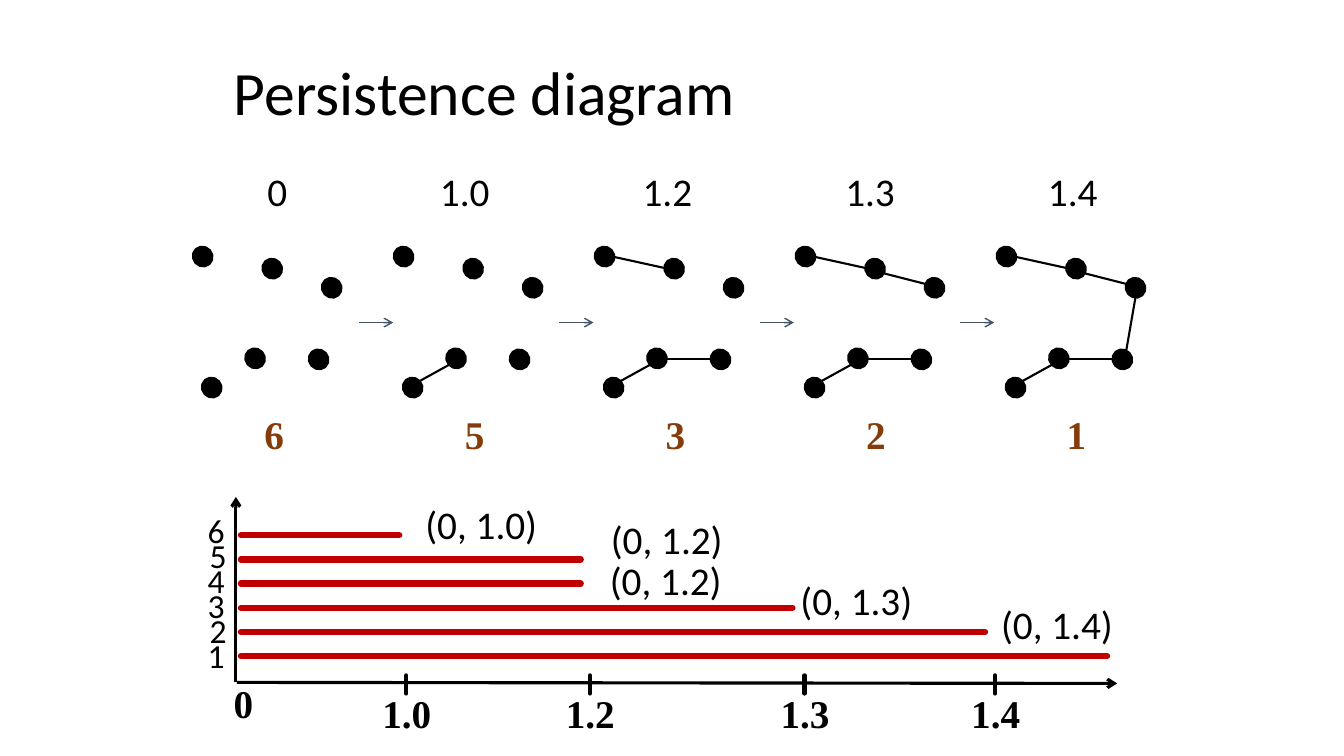
from pptx import Presentation
from pptx.dml.color import RGBColor
from pptx.enum.shapes import MSO_CONNECTOR, MSO_SHAPE
from pptx.enum.text import MSO_ANCHOR, MSO_AUTO_SIZE, PP_ALIGN
from pptx.oxml.ns import qn
from pptx.util import Inches, Pt
from lxml import etree

LEFT, MID = PP_ALIGN.LEFT, PP_ALIGN.CENTER
STRAIGHT, OVAL = MSO_CONNECTOR.STRAIGHT, MSO_SHAPE.OVAL
SANS, SERIF = "Calibri", "Times New Roman"
BLACK, BROWN, RED, SLATE = "000000", "843C0B", "C00000", "44546A"

TITLE = "Persistence diagram"
PITCH = 1.993
DOTS = [(1.92, 2.45), (2.61, 2.57), (3.2, 2.76),
        (2.44, 3.46), (3.07, 3.47), (2.01, 3.75)]
EDGES = {
    "low": (2.17, 3.78, 2.46, 3.62),
    "base": (2.62, 3.56, 3.07, 3.56),
    "top": (2.61, 2.66, 2.11, 2.55),
    "slope": (3.21, 2.82, 2.78, 2.71),
    "side": (3.2, 3.47, 3.29, 2.95),
}
STAGES = [
    ("0", 2.75, "6", []),
    ("1.0", 4.61, "5", ["low"]),
    ("1.2", 6.62, "3", ["low", "base", "top"]),
    ("1.3", 8.63, "2", ["low", "base", "top", "slope"]),
    ("1.4", 10.64, "1", ["low", "base", "top", "slope", "side"]),
]
BARS = [
    ("6", 3.96, "(0, 1.0)", 4.12, 4.91),
    ("5", 5.76, "(0, 1.2)", 5.96, 5.06),
    ("4", 5.76, "(0, 1.2)", 5.95, 5.47),
    ("3", 7.86, "(0, 1.3)", 7.84, 5.67),
    ("2", 9.77, "(0, 1.4)", 9.83, 5.91),
    ("1", 10.98, "", 0, 0),
]
TICKS = [("1.0", 4.03), ("1.2", 5.85), ("1.3", 7.98), ("1.4", 9.87)]

deck = Presentation()
deck.slide_width, deck.slide_height = Inches(13.33), Inches(7.5)
slide = deck.slides.add_slide(deck.slide_layouts[5])
shapes = slide.shapes


def color(code):
    return RGBColor.from_string(code)


def write(frame, words, size, font, code, bold=False, align=LEFT, gap=None):
    para = frame.paragraphs[0]
    para.alignment = align
    para.line_spacing = gap
    run = para.add_run()
    run.text = words
    run.font.size, run.font.name, run.font.bold = Pt(size), font, bold
    run.font.color.rgb = color(code)


def label(words, x, y, w, font=SANS, code=BLACK, bold=False, align=MID):
    box = shapes.add_textbox(Inches(x), Inches(y), Inches(w), Inches(0.57))
    box.text_frame.word_wrap = False
    write(box.text_frame, words, 28, font, code, bold, align)


def line(x1, y1, x2, y2, code, width, arrow=False, cap="flat"):
    link = shapes.add_connector(
        STRAIGHT, Inches(x1), Inches(y1), Inches(x2), Inches(y2))
    link.line.color.rgb = color(code)
    link.line.width = Pt(width)
    props = link._element.spPr
    stroke = props.find(qn("a:ln"))
    stroke.set("cap", cap)
    if arrow:
        etree.SubElement(stroke, qn("a:tailEnd"), type="arrow")
    etree.SubElement(props, qn("a:effectLst"))


def dot(x, y):
    ball = shapes.add_shape(
        OVAL, Inches(x), Inches(y), Inches(0.18), Inches(0.19))
    ball.shadow.inherit = False
    ball.rotation = 138.4
    ball.fill.solid()
    ball.fill.fore_color.rgb = color(BLACK)
    ball.line.color.rgb = color(BLACK)
    ball.line.width = Pt(2.25)


head = shapes.title
head.left, head.top = Inches(2.22), Inches(0.32)
head.width, head.height = Inches(8.95), Inches(1.25)
head.text_frame.auto_size = MSO_AUTO_SIZE.NONE
head.text_frame.vertical_anchor = MSO_ANCHOR.MIDDLE
write(head.text_frame, TITLE, 44, SANS, BLACK, gap=0.9)

for col, (scale, x, count, names) in enumerate(STAGES):
    shift = col * PITCH
    label(scale, x - 0.35, 1.61, 0.7)
    label(count, 2.52 + shift * 0.998, 4.02, 0.4, SERIF, BROWN, True)
    for name in names:
        x1, y1, x2, y2 = EDGES[name]
        line(x1 + shift, y1, x2 + shift, y2, BLACK, 1.5)
    for left, top in DOTS:
        dot(left + shift, top)
    if col < len(STAGES) - 1:
        start = 3.56 + col * 1.987
        line(start, 3.2, start + 0.34, 3.2, SLATE, 1, True)

line(2.35, 6.77, 11.08, 6.78, BLACK, 2.25, True)
line(2.34, 6.77, 2.34, 4.93, BLACK, 2.25, True)
label("0", 2.22, 6.69, 0.4, SERIF, BLACK, True, LEFT)
for words, x in TICKS:
    line(x, 6.88, x, 6.7, BLACK, 3, cap="rnd")
    label(words, x - 0.34, 6.79, 0.69, SERIF, BLACK, True)

for row, (rank, end, pair, x, y) in enumerate(BARS):
    level = 5.31 + row * 0.24
    line(2.39, level, end, level, RED, 4.5, cap="rnd")
    inset = 0.02 if rank in "52" else 0
    box = shapes.add_textbox(Inches(1.96 + inset), Inches(5.07 + row * 0.248),
                             Inches(0.32 - inset), Inches(0.45))
    box.text_frame.word_wrap = True
    write(box.text_frame, rank, 24, SANS, BLACK, gap=0.85)
    if pair:
        label(pair, x, y, 1.32, align=LEFT)

deck.save("out.pptx")
